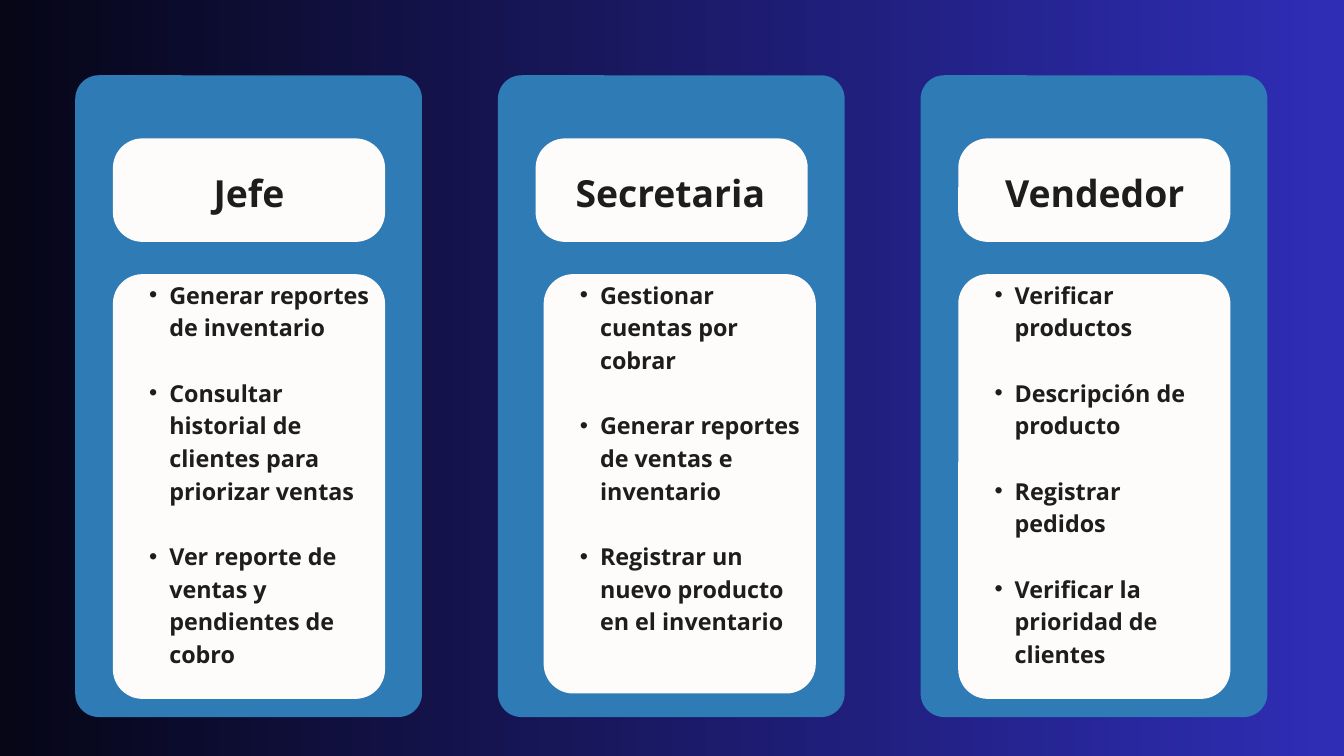
from lxml import etree
from pptx import Presentation
from pptx import util as u
from pptx.dml.color import RGBColor
from pptx.enum import shapes, text
from pptx.oxml import ns

BLACK = RGBColor(0x06, 0x06, 0x17)
VIOLET = RGBColor(0x2F, 0x2D, 0xB6)
BLUE = RGBColor(0x2E, 0x7B, 0xB6)
WHITE = RGBColor(0xFD, 0xFC, 0xFB)
INK = RGBColor(0x1D, 0x1D, 0x1B)

WIDE, HIGH = 20, 11.25
LEFT, TOP, STEP = 1.12, 1.12, 6.29
CARD_W, CARD_H, CARD_R = 5.16, 9.55, 0.35
PANEL_W, PANEL_R, INSET = 4.05, 0.44, 0.56

ROLES = [
    ("Jefe", 2.78, 1.85, 1.68, 6.32, 6.21, [
        "Generar reportes de inventario",
        "Consultar historial de clientes para priorizar ventas",
        "Ver reporte de ventas y pendientes de cobro"]),
    ("Secretaria", 8.5, 2.95, 8.09, 6.24, 5.73, [
        "Gestionar cuentas por cobrar",
        "Generar reportes de ventas e inventario",
        "Registrar un nuevo producto en el inventario"]),
    ("Vendedor", 14.75, 3.08, 14.26, 6.32, 5.74, [
        "Verificar productos",
        "Descripción de producto",
        "Registrar pedidos",
        "Verificar la prioridad de clientes"]),
]


def apply(item, style):
    for name, value in style.items():
        setattr(item, name, value)


class Board:
    font = {"name": "Open Sans", "bold": True}
    frame = {"word_wrap": True, "margin_left": 0, "margin_right": 0,
             "margin_top": 0, "margin_bottom": 0}
    head = {"alignment": text.PP_ALIGN.CENTER, "line_spacing": u.Pt(56)}
    item = {"alignment": text.PP_ALIGN.LEFT, "line_spacing": u.Pt(35),
            "level": 1}

    def __init__(self, slide):
        self.slide = slide

    def shape(self, kind, *box):
        shape = self.slide.shapes.add_shape(kind, *map(u.Inches, box))
        shape.shadow.inherit = False
        shape.line.fill.background()
        return shape

    def backdrop(self):
        fill = self.shape(shapes.MSO_SHAPE.RECTANGLE, 0, 0, WIDE, HIGH).fill
        fill.gradient()
        fill.gradient_angle = 0
        for stop, place, color in zip(fill.gradient_stops, (0, 1), (BLACK, VIOLET)):
            stop.position = place
            stop.color.rgb = color

    def panel(self, x, y, w, h, radius, color):
        shape = self.shape(shapes.MSO_SHAPE.ROUNDED_RECTANGLE, x, y, w, h)
        shape.adjustments[0] = radius / min(w, h)
        shape.fill.solid()
        shape.fill.fore_color.rgb = color

    def words(self, box, lines, size, style):
        frame = self.slide.shapes.add_textbox(*map(u.Inches, box)).text_frame
        apply(frame, self.frame)
        frame.text = "\n".join(lines)
        for para in frame.paragraphs:
            apply(para, style)
            run = para.runs[0]
            apply(run.font, {**self.font, "size": u.Pt(size)})
            run.font.color.rgb = INK
        return frame.paragraphs

    def title(self, box, line):
        self.words(box, [line], 40, self.head)

    def bullets(self, box, lines):
        paras = self.words(box, lines, 25, self.item)
        for para in paras[:-1]:
            para.space_after = u.Pt(35)
        for para in paras:
            props = para._p.get_or_add_pPr()
            props.set("marL", str(u.Inches(0.59)))
            props.set("indent", str(u.Inches(-0.3)))
            font = etree.SubElement(props, ns.qn("a:buFont"))
            font.set("typeface", "Arial")
            mark = etree.SubElement(props, ns.qn("a:buChar"))
            mark.set("char", "•")


def main():
    deck = Presentation()
    deck.slide_width, deck.slide_height = u.Inches(WIDE), u.Inches(HIGH)
    board = Board(deck.slides.add_slide(deck.slide_layouts[6]))
    board.backdrop()
    for i, (role, head_x, head_w, list_x, list_h, text_h, tasks) in enumerate(ROLES):
        x = LEFT + i * STEP
        board.panel(x, TOP, CARD_W, CARD_H, CARD_R, BLUE)
        board.panel(x + INSET, 2.06, PANEL_W, 1.54, PANEL_R, WHITE)
        board.title((head_x, 2.42, head_w, 0.74), role)
        board.panel(list_x, 4.08, PANEL_W, list_h, PANEL_R, WHITE)
        board.bullets((list_x + 0.25, 4.11, 3.57, text_h), tasks)
    deck.save("out.pptx")


if __name__ == "__main__":
    main()
